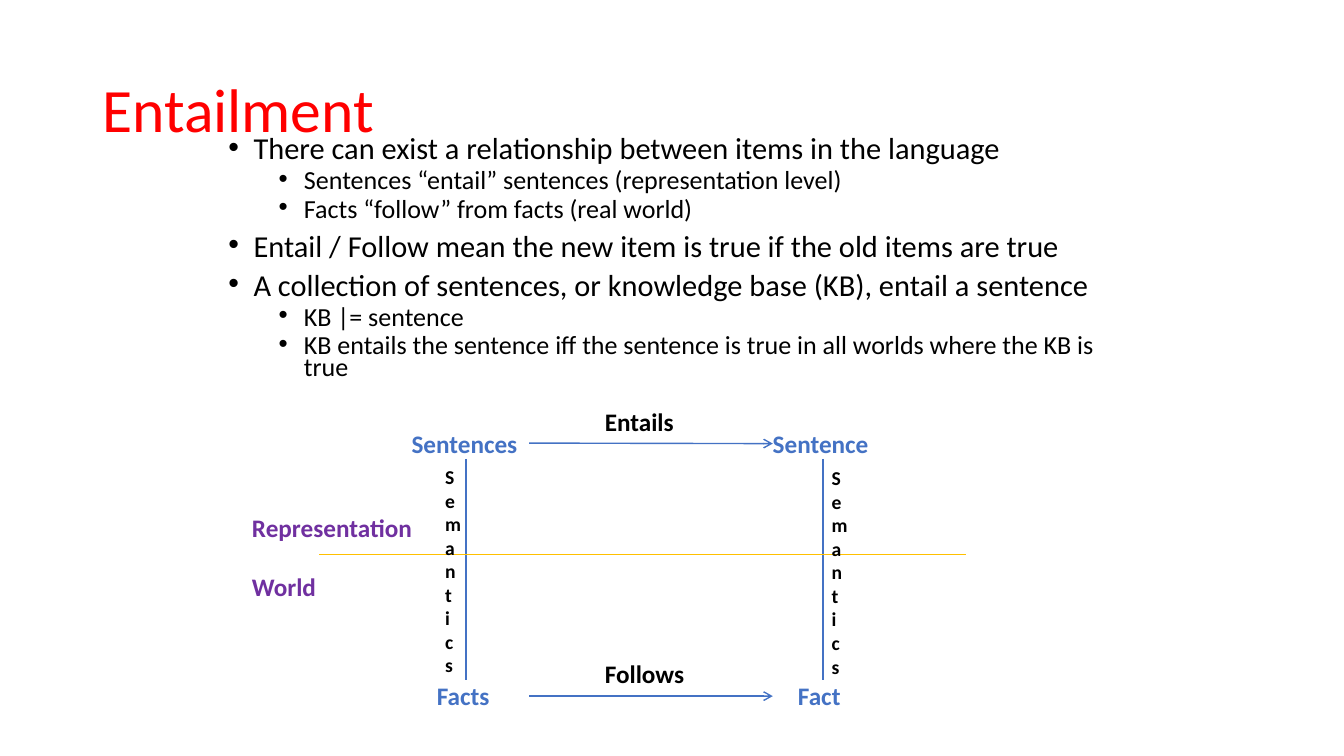
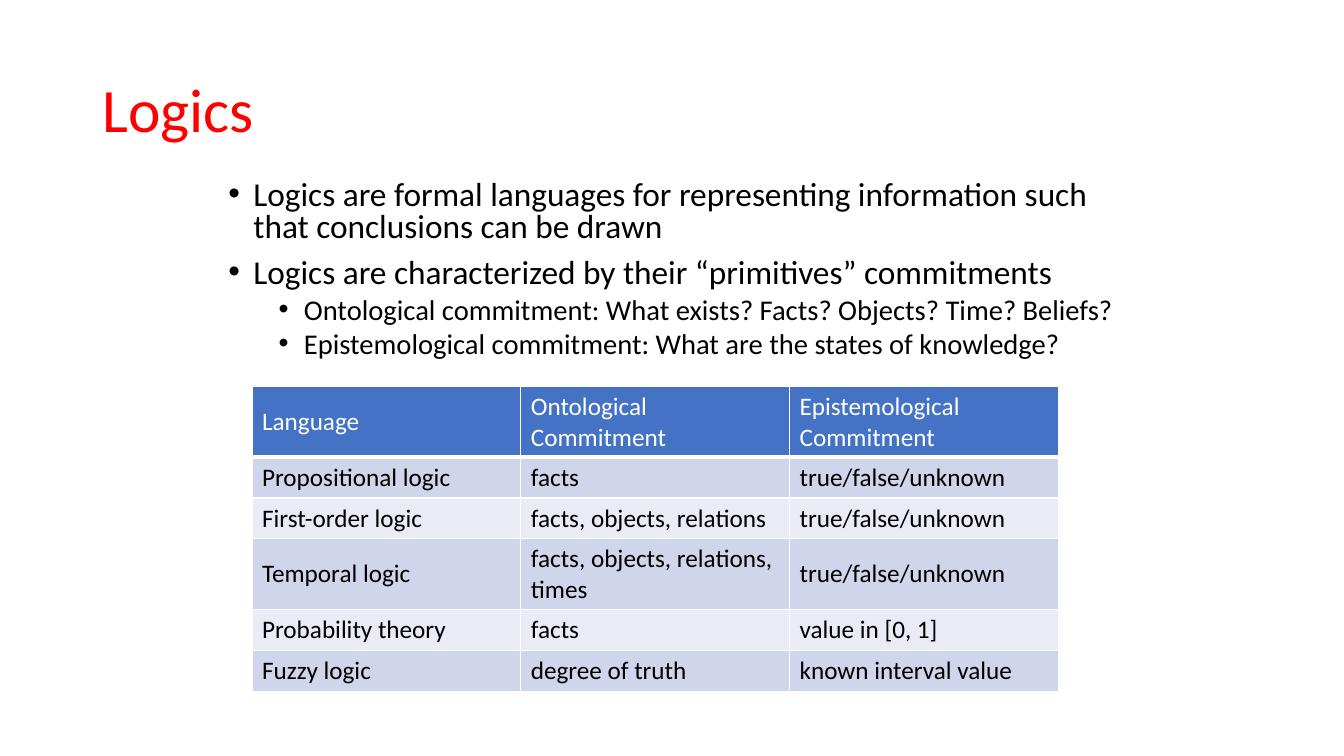
from lxml import etree
from pptx import Presentation
from pptx import util as u
from pptx.dml.color import RGBColor
from pptx.enum import shapes, text
from pptx.oxml import ns

BLUE, PURPLE, GOLD, RED = "4472C4", "7030A0", "FFC000", "FF0000"
BLACK, WHITE = "000000", "FFFFFF"
BANDS = ("CFD5EA", "E9EBF5")
TOP, LEFT, BOTTOM = 0, 1, 2


def px(count):
    return u.Emu(count * 9525)


def color(value):
    return RGBColor.from_string(value)


def style(target, values):
    for name, value in values.items():
        setattr(target, name, value)


def child(parent, tag, **attributes):
    return etree.SubElement(parent, ns.qn(tag), attributes)


class Slides:
    font = "Calibri"
    margins = ("margin_left", "margin_top", "margin_right", "margin_bottom")

    def __init__(self):
        self.deck = Presentation()
        style(self.deck, {"slide_width": px(1280), "slide_height": px(720)})
        self.page = None

    def new_page(self, title):
        self.page = self.deck.slides.add_slide(self.deck.slide_layouts[6])
        frame = self.box(88, 38, 1104, 139).text_frame
        frame.vertical_anchor = text.MSO_ANCHOR.MIDDLE
        para = frame.paragraphs[0]
        para.line_spacing = 0.9
        self.span(para, title, 44, RED)

    def box(self, left, top, width, height):
        box = self.page.shapes.add_textbox(px(left), px(top), px(width), px(height))
        box.text_frame.word_wrap = True
        return box

    def span(self, para, words, size, ink, bold=False):
        span = para.add_run()
        span.text = words
        style(span.font, {"name": self.font, "size": u.Pt(size), "bold": bold})
        span.font.color.rgb = color(ink)

    def label(self, words, left, top, width, ink=BLACK, size=18, height=29):
        box = self.box(left, top, width, height)
        frame = box.text_frame
        style(frame, dict.fromkeys(self.margins, 0))
        frame.auto_size = text.MSO_AUTO_SIZE.SHAPE_TO_FIT_TEXT
        self.span(frame.paragraphs[0], words, size, ink, True)
        return box

    def bullets(self, place, items, sizes, spacing):
        frame = self.box(*place).text_frame
        for number, (level, words) in enumerate(items):
            para = frame.add_paragraph() if number else frame.paragraphs[0]
            settings = para._p.get_or_add_pPr()
            settings.set("marL", str(px(24 + 48 * level)))
            settings.set("indent", str(px(-24)))
            child(settings, "a:buFont", typeface="Arial")
            child(settings, "a:buChar", char="•")
            before = u.Pt((10, 5)[level] if number else 0)
            style(para, {"level": level, "line_spacing": spacing, "space_before": before})
            self.span(para, words, sizes[level], BLACK)

    def line(self, start, end, ink=BLUE, arrow=False, begin=None, finish=None):
        line = self.page.shapes.add_connector(
            shapes.MSO_CONNECTOR.STRAIGHT, *map(px, start + end))
        line.line.width = u.Pt(1)
        line.line.color.rgb = color(ink)
        if arrow:
            child(line._element.spPr.find(ns.qn("a:ln")), "a:tailEnd", type="arrow")
        child(line._element.spPr, "a:effectLst")
        if begin:
            line.begin_connect(*begin)
        if finish:
            line.end_connect(*finish)

    def border(self, cell, widths):
        settings = cell._tc.get_or_add_tcPr()
        for place, (side, width) in enumerate(zip("LRTB", widths)):
            edge = etree.Element(ns.qn("a:ln" + side), w=str(u.Pt(width)))
            child(child(edge, "a:solidFill"), "a:srgbClr", val=WHITE)
            settings.insert(place, edge)

    def table(self, left, top, column, row, rows):
        count = len(rows[0])
        grid = self.page.shapes.add_table(
            len(rows), count, px(left), px(top),
            px(column * count), px(row * len(rows))).table
        for number, words in enumerate(rows):
            fill, ink = (BANDS[(number - 1) % 2], BLACK) if number else (BLUE, WHITE)
            widths = (1, 1, 3 if number == 1 else 1, 1 if number else 3)
            for column_number, entry in enumerate(words):
                cell = grid.cell(number, column_number)
                cell.vertical_anchor = text.MSO_ANCHOR.MIDDLE
                cell.fill.solid()
                cell.fill.fore_color.rgb = color(fill)
                self.border(cell, widths)
                self.span(cell.text_frame.paragraphs[0], entry, 18, ink)


def entailment(slides):
    slides.new_page("Entailment")
    slides.bullets((208, 128, 888, 256), [
        (0, "There can exist a relationship between items in the language"),
        (1, "Sentences “entail” sentences (representation level)"),
        (1, "Facts “follow” from facts (real world)"),
        (0, "Entail / Follow mean the new item is true if the old items are true"),
        (0, "A collection of sentences, or knowledge base (KB), entail a sentence"),
        (1, "KB |= sentence"),
        (1, "KB entails the sentence iff the sentence is true in all worlds "
            "where the KB is true"),
    ], (21.7, 18.6), 0.7)
    sentences = slides.label("Sentences", 392, 408, 104, BLUE)
    sentence = slides.label("Sentence", 736, 408, 104, BLUE)
    facts = slides.label("Facts", 416, 648, 56, BLUE)
    fact = slides.label("Fact", 760, 648, 48, BLUE)
    slides.line((444, 437), (444, 648), begin=(sentences, BOTTOM), finish=(facts, TOP))
    slides.line((784, 437), (784, 648), finish=(fact, TOP))
    slides.line((504, 422), (736, 422), arrow=True, finish=(sentence, LEFT))
    slides.line((504, 663), (736, 663), arrow=True)
    slides.line((304, 528), (920, 528), GOLD)
    slides.label("Representation", 240, 488, 168, PURPLE)
    slides.label("World", 240, 544, 72, PURPLE)
    slides.label("Entails", 576, 387, 80)
    slides.label("Follows", 576, 627, 80)
    for left, top in ((424, 443), (792, 444)):
        slides.label("Semantics", left, top, 8, size=14, height=204)


def logics(slides):
    slides.new_page("Logics")
    slides.bullets((208, 168, 864, 240), [
        (0, "Logics are formal languages for representing information such that "
            "conclusions can be drawn"),
        (0, "Logics are characterized by their “primitives” commitments"),
        (1, "Ontological commitment: What exists? Facts? Objects? Time? Beliefs?"),
        (1, "Epistemological commitment: What are the states of knowledge?"),
    ], (23.8, 20.4), 0.8)
    slides.table(240, 368, 256, 39, [
        ("Language", "Ontological Commitment", "Epistemological Commitment"),
        ("Propositional logic", "facts", "true/false/unknown"),
        ("First-order logic", "facts, objects, relations", "true/false/unknown"),
        ("Temporal logic", "facts, objects, relations, times", "true/false/unknown"),
        ("Probability theory", "facts", "value in [0, 1]"),
        ("Fuzzy logic", "degree of truth", "known interval value"),
    ])


def main():
    slides = Slides()
    entailment(slides)
    logics(slides)
    slides.deck.save("out.pptx")


if __name__ == "__main__":
    main()
